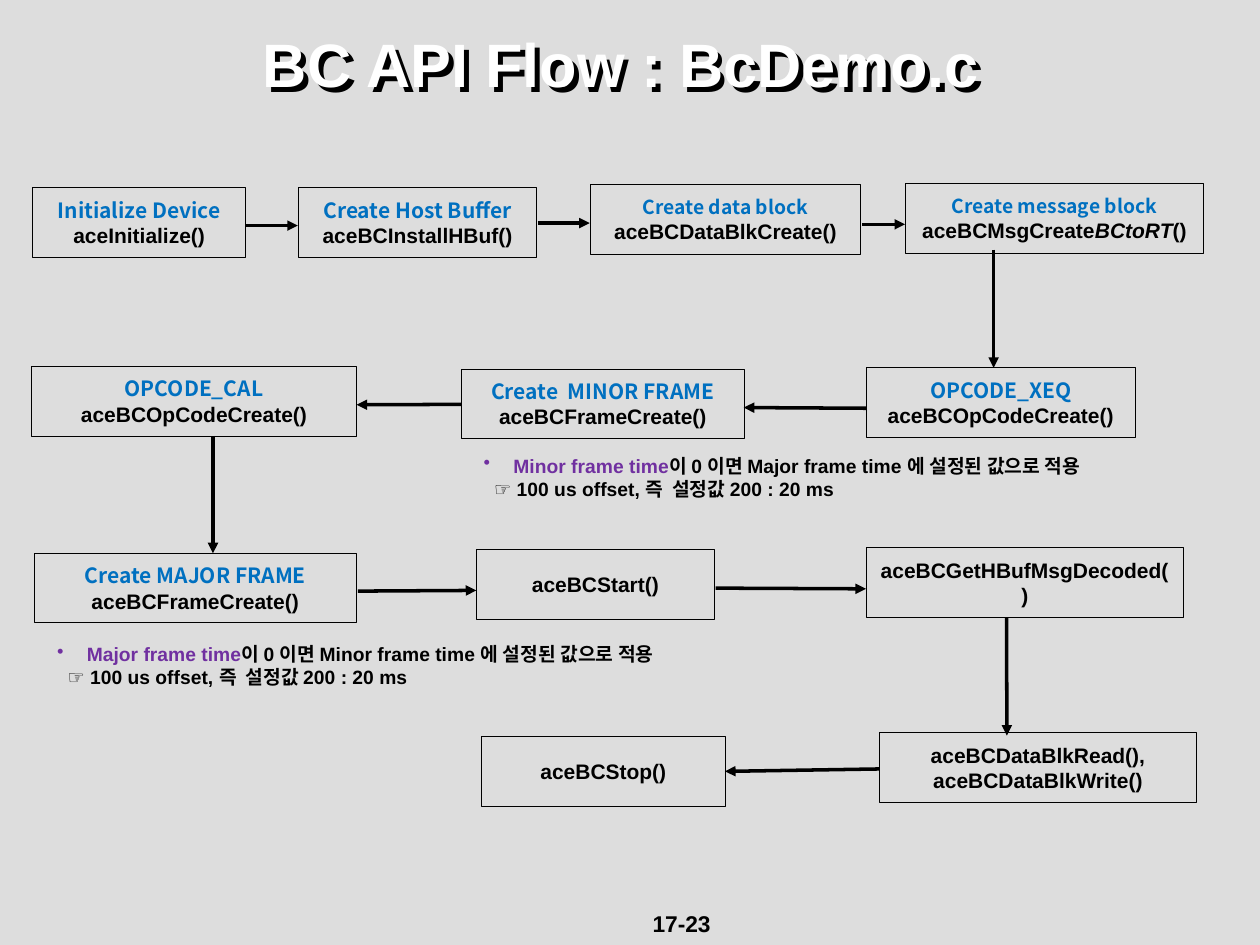
from dataclasses import dataclass

from lxml.etree import SubElement
from pptx import Presentation
from pptx.dml.color import RGBColor
from pptx.enum.shapes import MSO_CONNECTOR as Connector, MSO_SHAPE as Preset
from pptx.enum.text import MSO_ANCHOR as Anchor, PP_ALIGN as Align
from pptx.oxml.ns import qn
from pptx.util import Pt

COLORS = {
    "background": "DDDDDD",
    "title": "FFFFFF",
    "text": "000000",
    "step": "0070C0",
    "note": "7030A0",
}
LATIN = "Arial"
KOREAN = "Noto Sans CJK KR"
STEP_HEIGHT = 39.8


@dataclass(frozen=True)
class Step:
    left: float
    top: float
    width: float
    calls: tuple[str, ...]
    heading: str = ""
    heading_size: float = 12
    italic_part: str = ""


@dataclass(frozen=True)
class Arrow:
    x1: float
    y1: float
    x2: float
    y2: float


@dataclass(frozen=True)
class Note:
    left: float
    top: float
    frame: str
    other_frame: str


STEPS = [
    Step(18.7, 107.2, 121.7, ("aceInitialize()",), "Initialize Device"),
    Step(170.6, 107.2, 136.1, ("aceBCInstallHBuf()",), "Create Host Buffer"),
    Step(337.6, 105.6, 154.1, ("aceBCDataBlkCreate()",), "Create data block", 11),
    Step(517.6, 105, 169.9, ("aceBCMsgCreateBCtoRT()",), "Create message block", 11, "BCtoRT"),
    Step(495.2, 210.2, 153.4, ("aceBCOpCodeCreate()",), "OPCODE_XEQ"),
    Step(263.5, 210.9, 162, ("aceBCFrameCreate()",), "Create  MINOR FRAME"),
    Step(18, 209.4, 185.8, ("aceBCOpCodeCreate()",), "OPCODE_CAL"),
    Step(19.5, 316.2, 184.3, ("aceBCFrameCreate()",), "Create MAJOR FRAME"),
    Step(272.2, 314, 136.1, ("aceBCStart()",)),
    Step(494.9, 313, 181.4, ("aceBCGetHBufMsgDecoded()",)),
    Step(502.5, 418.8, 181.4, ("aceBCDataBlkRead(),", "aceBCDataBlkWrite()")),
    Step(275, 421, 139.7, ("aceBCStop()",)),
]
ARROWS = [
    Arrow(140.4, 128.9, 170.2, 128.9),
    Arrow(307.4, 127.5, 337, 127.5),
    Arrow(492.5, 128.2, 517.2, 128.2),
    Arrow(567.8, 142.6, 567.8, 210.2),
    Arrow(495.2, 233.3, 425, 232.9),
    Arrow(263.5, 231.1, 203.8, 231.3),
    Arrow(121.7, 249.1, 121.7, 316.2),
    Arrow(204.5, 337.8, 272.2, 337.4),
    Arrow(409, 336.1, 494.9, 336.5),
    Arrow(575.2, 353.2, 575.4, 420.4),
    Arrow(502.5, 439.4, 414.3, 440.8),
]
NOTES = [
    Note(269.3, 252.7, "Minor", "Major"),
    Note(25.5, 360.5, "Major", "Minor"),
]


def rgb(part: str) -> RGBColor:
    return RGBColor.from_string(COLORS[part])


def set_font(font, size: float, color: str, name: str = LATIN) -> None:
    font.name, font.size, font.bold = name, Pt(size), True
    font.color.rgb = rgb(color)


def next_paragraph(frame, index: int):
    """Return the frame's own first paragraph, or a new one after it."""
    return frame.add_paragraph() if index else frame.paragraphs[0]


def add_text_box(slide, left: float, top: float, width: float, height: float, anchor):
    box = slide.shapes.add_textbox(Pt(left), Pt(top), Pt(width), Pt(height))
    box.text_frame.word_wrap = True
    box.text_frame.vertical_anchor = anchor
    return box


def add_title(slide, title: str) -> None:
    box = add_text_box(slide, 0, 0, 710, 72, Anchor.MIDDLE)
    paragraph = box.text_frame.paragraphs[0]
    paragraph.alignment = Align.CENTER
    set_font(paragraph.font, 35, "title")
    paragraph.add_run().text = title
    box.fill.background()
    effects = SubElement(box._element.spPr, qn("a:effectLst"))
    shadow = SubElement(effects, qn("a:outerShdw"), dist=str(Pt(4)), dir="2700000", algn="ctr")
    SubElement(shadow, qn("a:srgbClr"), val=COLORS["text"])


def add_step(slide, step: Step) -> None:
    box = slide.shapes.add_shape(
        Preset.RECTANGLE, Pt(step.left), Pt(step.top), Pt(step.width), Pt(STEP_HEIGHT))
    box.shadow.inherit = False
    box.fill.background()
    box.line.color.rgb = rgb("text")
    box.line.width = Pt(0.5)
    frame = box.text_frame
    frame.word_wrap = True
    frame.vertical_anchor = Anchor.MIDDLE
    headings = (step.heading,) if step.heading else ()
    for index, line in enumerate(headings + step.calls):
        paragraph = next_paragraph(frame, index)
        paragraph.alignment = Align.CENTER
        if line == step.heading:
            set_font(paragraph.font, step.heading_size, "step", KOREAN)
        else:
            set_font(paragraph.font, 12, "text")
        if step.italic_part and step.italic_part in line:
            before, part, after = line.partition(step.italic_part)
            paragraph.add_run().text = before
            italic_run = paragraph.add_run()
            italic_run.text = part
            italic_run.font.italic = True
            paragraph.add_run().text = after
        else:
            paragraph.add_run().text = line


def add_arrow(slide, arrow: Arrow) -> None:
    line = slide.shapes.add_connector(
        Connector.STRAIGHT, Pt(arrow.x1), Pt(arrow.y1), Pt(arrow.x2), Pt(arrow.y2))
    line.line.color.rgb = rgb("text")
    line.line.width = Pt(2)
    SubElement(line.line._get_or_add_ln(), qn("a:tailEnd"), type="triangle")
    SubElement(line._element.spPr, qn("a:effectLst"))


def set_note_font(paragraph) -> None:
    """Set the Latin font and the East Asian font of a note line."""
    set_font(paragraph.font, 11, "text")
    defaults = paragraph._p.pPr.find(qn("a:defRPr"))
    SubElement(defaults, qn("a:ea"), typeface=KOREAN)


def add_note(slide, note: Note) -> None:
    frame = add_text_box(slide, note.left, note.top, 368.6, 39.6, Anchor.MIDDLE).text_frame
    rule = next_paragraph(frame, 0)
    properties = rule._p.get_or_add_pPr()
    properties.set("marL", str(Pt(17)))
    properties.set("indent", str(-Pt(17)))
    bullet_color = SubElement(properties, qn("a:buClr"))
    SubElement(bullet_color, qn("a:srgbClr"), val=COLORS["note"])
    SubElement(properties, qn("a:buChar"), char="•")
    set_note_font(rule)
    subject = rule.add_run()
    subject.text = f"{note.frame} frame time"
    subject.font.color.rgb = rgb("note")
    rule.add_run().text = f"이 0 이면 {note.other_frame} frame time 에 설정된 값으로 적용"

    offset = next_paragraph(frame, 1)
    offset._p.get_or_add_pPr().set("marL", str(Pt(6)))
    set_note_font(offset)
    offset.add_run().text = "☞ 100 us offset, 즉  설정값 200 : 20 ms"


def add_page_number(slide, number: str) -> None:
    box = add_text_box(slide, 365.8, 516.2, 149.8, 23.8, Anchor.TOP)
    paragraph = box.text_frame.paragraphs[0]
    set_font(paragraph.font, 13, "text")
    paragraph.add_run().text = number


def main() -> None:
    deck = Presentation()
    deck.slide_width, deck.slide_height = Pt(720), Pt(540)
    slide = deck.slides.add_slide(deck.slide_layouts[6])
    slide.background.fill.solid()
    slide.background.fill.fore_color.rgb = rgb("background")
    add_title(slide, "BC API Flow : BcDemo.c")
    for step in STEPS:
        add_step(slide, step)
    for arrow in ARROWS:
        add_arrow(slide, arrow)
    for note in NOTES:
        add_note(slide, note)
    add_page_number(slide, "17-23")
    deck.save("out.pptx")


if __name__ == "__main__":
    main()
